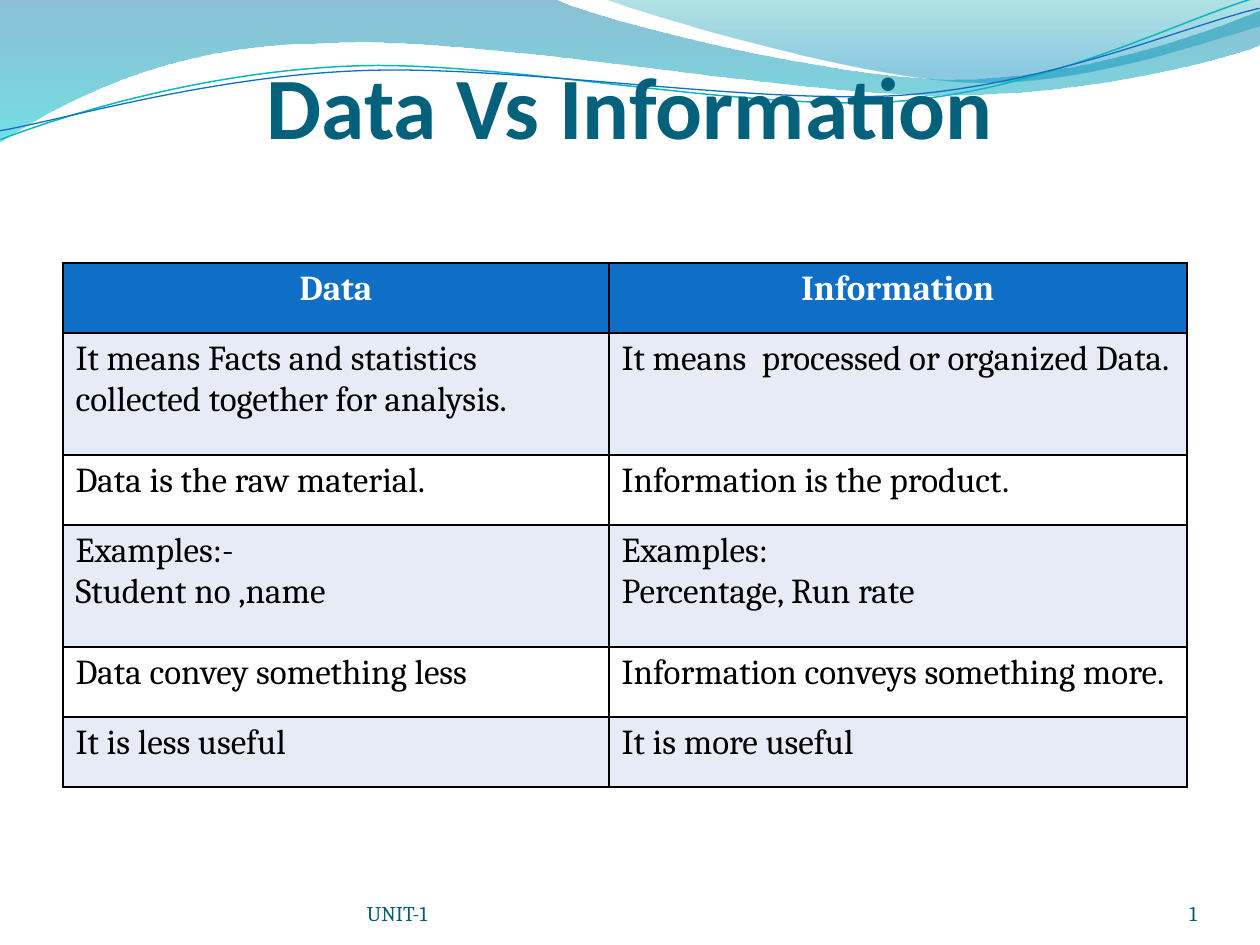
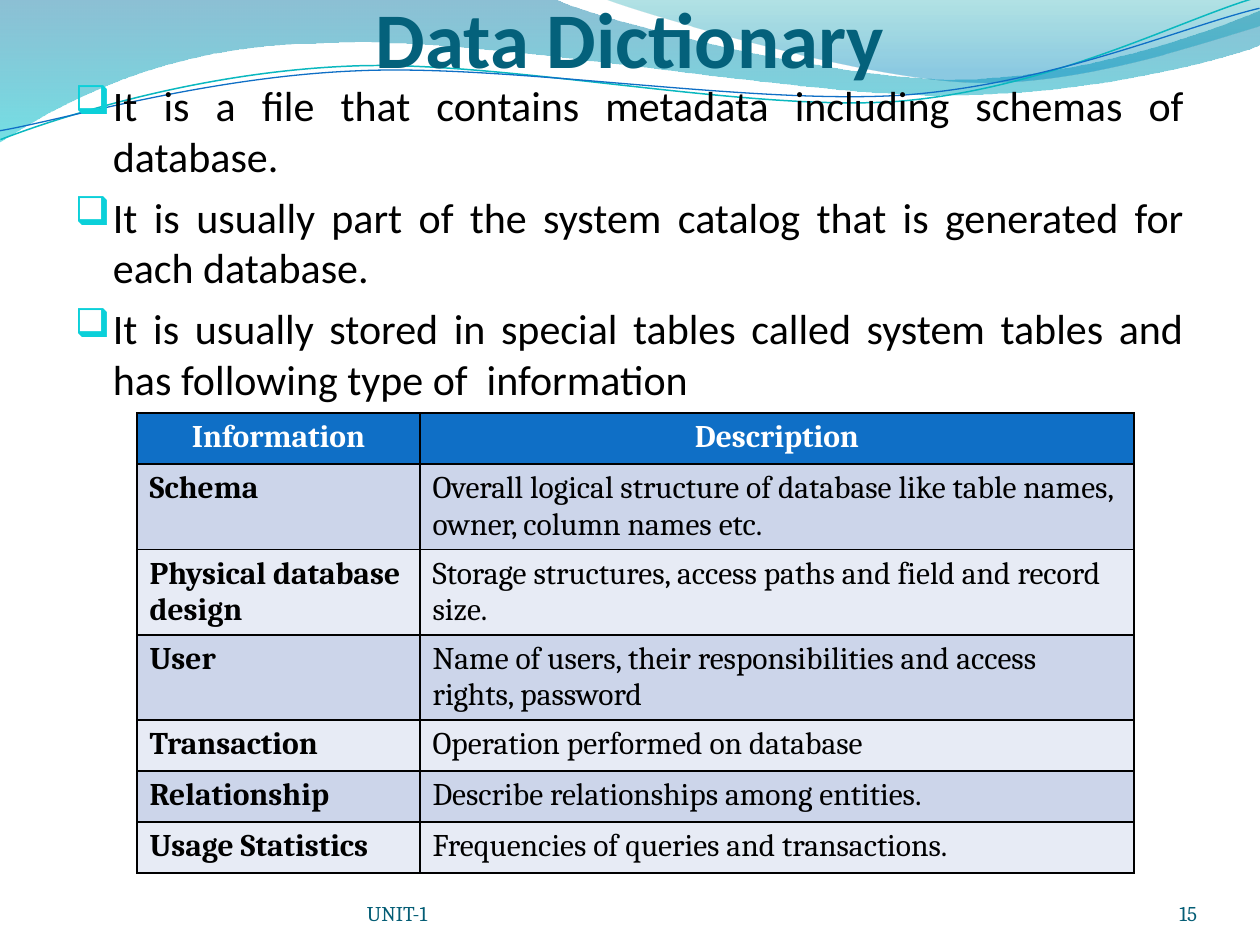
import lxml.etree
import pptx
import pptx.dml.color
import pptx.enum.text
import pptx.oxml.ns
import pptx.util
from dataclasses import dataclass

qn = pptx.oxml.ns.qn
ALIGN = pptx.enum.text.PP_ALIGN
ANCHOR = pptx.enum.text.MSO_ANCHOR
PX = 914400 / 126  # EMU in one px


def emu(px):
    return pptx.util.Emu(round(px * PX))


def rgb(value):
    return pptx.dml.color.RGBColor.from_string(value)


def add_xml(parent, tag, **attributes):
    return lxml.etree.SubElement(parent, qn(tag), attributes)


@dataclass(frozen=True)
class Theme:
    heading_font: str = "Calibri"
    text_font: str = "Cambria"
    bullet_font: str = "Wingdings"
    title: str = "04617B"
    footer: str = "045D75"
    text: str = "000000"
    white: str = "FFFFFF"
    header: str = "0F6FC6"
    light_band: str = "E7EBF5"
    dark_band: str = "CCD5EA"
    bullet: str = "0BD0D9"
    teal_line: str = "0AB8BF"
    # Gradient stops: position, colour, opacity in percent
    wide_wave: tuple = ((0, "0074A1", 45), (1, "00C6CF", 55))
    right_wave: tuple = ((0, "00A1A9", 30), (0.8, "008BBF", 45))
    body_size: int = 24
    footer_size: int = 12


# Wave outlines: a start point, then lines (2 numbers) and Bezier curves (6 numbers)
WIDE_WAVE = [(0, -1), (554, -1), (600, 21, 837, 79, 955, 79),
             (1075, 79, 1207, 33, 1260, 11), (1261, 45),
             (1238, 55, 1096, 96, 940, 95), (784, 95, 481, 35, 324, 43),
             (163, 44, 58, 105, -1, 142), (0, -1)]
RIGHT_WAVE = [(604, -1), (641, 14, 859, 78, 969, 82),
              (1079, 87, 1211, 40, 1260, 26), (1260, 0), (604, -1)]
# Curves lie flat here and are turned by CURVE_TURN degrees
CURVE_TURN = 357.3
TEAL_CURVE = [(-2, 110), (58, 90, 199, 52, 350, 53),
              (499, 53, 745, 118, 896, 114), (1049, 109, 1184, 45, 1260, 27)]
BLUE_CURVE = [(-2, 101), (57, 94, 207, 57, 357, 58),
              (509, 58, 750, 111, 902, 108), (1052, 104, 1187, 52, 1262, 38)]


class Deck:
    def __init__(self, theme):
        self.theme = theme
        self.deck = pptx.Presentation()
        self.deck.slide_width, self.deck.slide_height = emu(1260), emu(945)
        self.slide = None

    def run(self, paragraph, text, size, color, font, bold=False):
        run = paragraph.add_run()
        run.text = text
        run.font.size = pptx.util.Pt(size)
        run.font.name = font
        run.font.bold = bold
        run.font.color.rgb = rgb(color)

    def frame(self, shape, anchor, insets):
        frame = shape.text_frame
        frame.word_wrap = True
        frame.auto_size = pptx.enum.text.MSO_AUTO_SIZE.NONE
        frame.vertical_anchor = anchor
        (frame.margin_left, frame.margin_top,
         frame.margin_right, frame.margin_bottom) = map(emu, insets)
        return frame

    def text_box(self, box, anchor=ANCHOR.BOTTOM, insets=(0, 0, 0, 0)):
        shape = self.slide.shapes.add_textbox(*map(emu, box))
        return self.frame(shape, anchor, insets)

    def outline(self, outline, closed):
        start, *segments = outline
        points = [(emu(segment[i]), emu(segment[i + 1]))
                  for segment in segments for i in range(0, len(segment), 2)]
        builder = self.slide.shapes.build_freeform(*map(emu, start), scale=1.0)
        builder.add_line_segments(points, close=closed)
        shape = builder.convert_to_shape()
        shape.shadow.inherit = False
        # Join each three points of a curve into one Bezier segment
        steps = iter(list(shape._element.iter(qn("a:lnTo"))))
        for segment in segments:
            step = next(steps)
            if len(segment) == 6:
                step.tag = qn("a:cubicBezTo")
                for _ in range(2):
                    extra = next(steps)
                    step.append(extra[0])
                    extra.getparent().remove(extra)
        return shape

    def wave(self, outline, stops):
        shape = self.outline(outline, True)
        shape.fill.gradient()
        shape.fill.gradient_angle = 270
        for stop, (position, color, _) in zip(shape.fill.gradient_stops, stops):
            stop.position = position
            stop.color.rgb = rgb(color)
        colors = shape._element.spPr.iter(qn("a:srgbClr"))
        for color, (_, _, opacity) in zip(colors, stops):
            add_xml(color, "a:alpha", val=str(opacity * 1000))
        shape.line.fill.background()
        return shape

    def curve(self, outline, color, width):
        shape = self.outline(outline, False)
        shape.rotation = CURVE_TURN
        shape.fill.background()
        shape.line.color.rgb = rgb(color)
        shape.line.width = pptx.util.Pt(width)
        return shape

    def master_waves(self):
        """Draw the waves once and hand them to the slide master."""
        theme = self.theme
        waves = (self.wave(WIDE_WAVE, theme.wide_wave),
                 self.wave(RIGHT_WAVE, theme.right_wave),
                 self.curve(TEAL_CURVE, theme.teal_line, 0.85),
                 self.curve(BLUE_CURVE, theme.header, 0.75))
        master_tree = self.deck.slide_master.shapes._spTree
        for index, wave in enumerate(waves):
            wave._element.nvSpPr.cNvPr.set("id", str(101 + index))
            master_tree.insert(2 + index, wave._element)

    def start_slide(self, title, box, size):
        self.slide = self.deck.slides.add_slide(self.deck.slide_layouts[5])
        if len(self.deck.slides) == 1:
            self.master_waves()
        heading = self.slide.shapes.title
        heading.left, heading.top, heading.width, heading.height = map(emu, box)
        paragraph = self.frame(heading, ANCHOR.BOTTOM, (0, 6, 0, 0)).paragraphs[0]
        paragraph.alignment = ALIGN.CENTER
        self.run(paragraph, title, size, self.theme.title, self.theme.heading_font, True)

    def footer(self, number):
        theme = self.theme
        for text, left, width, align in ((number, 1092, 105, ALIGN.RIGHT),
                                         ("UNIT-1", 367, 462, ALIGN.LEFT)):
            paragraph = self.text_box((left, 876, width, 50)).paragraphs[0]
            paragraph.alignment = align
            self.run(paragraph, text, theme.footer_size, theme.footer, theme.text_font)

    def bullets(self, box, points):
        theme = self.theme
        frame = self.text_box(box, ANCHOR.TOP, (12, 7, 13, 6))
        for index, point in enumerate(points):
            paragraph = frame.add_paragraph() if index else frame.paragraphs[0]
            paragraph.alignment = ALIGN.JUSTIFY
            paragraph.space_after = pptx.util.Pt(6)
            properties = paragraph._p.get_or_add_pPr()
            properties.set("marL", str(emu(38)))
            properties.set("indent", str(-emu(38)))
            add_xml(add_xml(properties, "a:buClr"), "a:srgbClr", val=theme.bullet)
            add_xml(properties, "a:buSzPct", val="95000")
            add_xml(properties, "a:buFont", typeface=theme.bullet_font, charset="2")
            add_xml(properties, "a:buChar", char="q")  # hollow box in this font
            self.run(paragraph, point, theme.body_size, theme.text, theme.heading_font)

    def borders(self, cell):
        properties = cell._tc.get_or_add_tcPr()
        for index, side in enumerate(("a:lnL", "a:lnR", "a:lnT", "a:lnB")):
            line = add_xml(properties, side, w=str(pptx.util.Pt(1)))
            add_xml(add_xml(line, "a:solidFill"), "a:srgbClr", val=self.theme.text)
            properties.insert(index, line)

    def table(self, left, top, widths, heights, rows, size, bands, bold_first=False):
        theme = self.theme
        table = self.slide.shapes.add_table(
            len(rows), len(widths), emu(left), emu(top),
            emu(sum(widths)), emu(sum(heights))).table
        table.horz_banding = False
        for column, width in zip(table.columns, widths):
            column.width = emu(width)
        for r, (row, height) in enumerate(zip(rows, heights)):
            table.rows[r].height = emu(height)
            is_header = r == 0
            for c, text in enumerate(row):
                cell = table.cell(r, c)
                cell.fill.solid()
                cell.fill.fore_color.rgb = rgb(
                    theme.header if is_header else bands[(r - 1) % 2])
                self.borders(cell)
                for index, part in enumerate(text.split("\n")):
                    frame = cell.text_frame
                    paragraph = frame.add_paragraph() if index else frame.paragraphs[0]
                    paragraph.alignment = ALIGN.CENTER if is_header else ALIGN.LEFT
                    self.run(paragraph, part, size,
                             theme.white if is_header else theme.text,
                             theme.text_font, is_header or (bold_first and c == 0))


def main():
    theme = Theme()
    deck = Deck(theme)

    # Data compared with information
    comparison = [
        ("Data", "Information"),
        ("It means Facts and statistics collected together for analysis.",
         "It means  processed or organized Data."),
        ("Data is the raw material.", "Information is the product."),
        ("Examples:-\nStudent no ,name", "Examples:\nPercentage, Run rate"),
        ("Data convey something less", "Information conveys something more."),
        ("It is less useful", "It is more useful"),
    ]
    deck.start_slide("Data Vs Information", (63, 52, 1134, 105), 50)
    deck.table(63, 263, (546, 578), (70, 122, 70, 122, 70, 70), comparison, 20,
               (theme.light_band, theme.white))
    deck.footer("1")

    # Data dictionary and what it holds
    dictionary = [
        ("Information", "Description"),
        ("Schema", "Overall logical structure of database like table names, "
                   "owner, column names etc."),
        ("Physical database design",
         "Storage structures, access paths and field and record size."),
        ("User", "Name of users, their responsibilities and access rights, password"),
        ("Transaction", "Operation performed on database"),
        ("Relationship", "Describe relationships among entities."),
        ("Usage Statistics", "Frequencies of queries and transactions."),
    ]
    deck.start_slide("Data Dictionary", (63, 21, 1134, 63), 45)
    deck.bullets((63, 73, 1134, 819), [
        "It is a file that contains metadata including schemas of database.",
        "It is usually part of the system catalog that is generated for each database.",
        "It is usually stored in special tables called system tables and has "
        "following type of  information",
    ])
    deck.footer("15")
    deck.table(137, 413, (283, 714), [51] * len(dictionary), dictionary, 18,
               (theme.dark_band, theme.light_band), bold_first=True)

    deck.deck.save("out.pptx")


if __name__ == "__main__":
    main()
